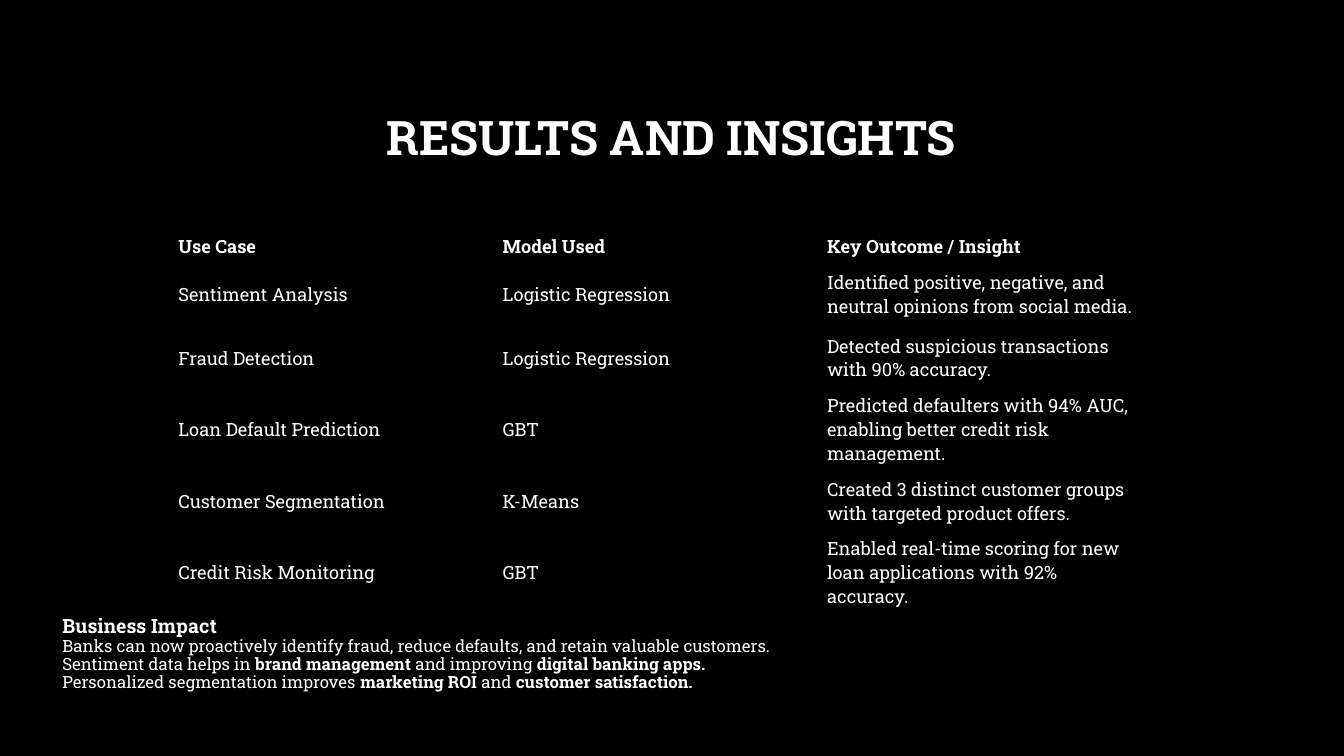
import pptx
import pptx.util
import pptx.dml.color
import pptx.enum.text
import pptx.oxml.ns

HUES = {"back": "000000", "text": "FFFFFF"}
PLAIN = "{2D5ABB26-0587-4C30-8999-92F81FD0307C}"  # table style without grid
ANCHOR = pptx.enum.text.MSO_ANCHOR
ALIGN = pptx.enum.text.PP_ALIGN

CASES = [
    ("Use Case", "Model Used", "Key Outcome / Insight"),
    ("Sentiment Analysis", "Logistic Regression",
     "Identified positive, negative, and neutral opinions from social media."),
    ("Fraud Detection", "Logistic Regression",
     "Detected suspicious transactions with 90% accuracy."),
    ("Loan Default Prediction", "GBT",
     "Predicted defaulters with 94% AUC, enabling better credit risk management."),
    ("Customer Segmentation", "K-Means",
     "Created 3 distinct customer groups with targeted product offers."),
    ("Credit Risk Monitoring", "GBT",
     "Enabled real-time scoring for new loan applications with 92% accuracy."),
]

# Each line is a list of runs: text and bold
IMPACT = [
    [("Banks can now proactively identify fraud, reduce defaults, "
      "and retain valuable customers.", False)],
    [("Sentiment data helps in ", False), ("brand management", True),
     (" and improving ", False), ("digital banking apps.", True)],
    [("Personalized segmentation improves ", False), ("marketing ROI", True),
     (" and ", False), ("customer satisfaction.", True)],
]


class Deck:
    """Holds the style and the current slide; lengths are percent of the slide."""
    font = "Roboto Slab"

    def __init__(self):
        self.show = pptx.Presentation()
        self.show.slide_width = pptx.util.Inches(13.33)
        self.show.slide_height = pptx.util.Inches(7.5)
        self.slide = self.show.slides.add_slide(self.show.slide_layouts[5])
        fill = self.slide.background.fill
        fill.solid()
        fill.fore_color.rgb = self.hue("back")

    def hue(self, name):
        return pptx.dml.color.RGBColor.from_string(HUES[name])

    def wide(self, share):
        return pptx.util.Emu(round(self.show.slide_width * share / 100))

    def high(self, share):
        return pptx.util.Emu(round(self.show.slide_height * share / 100))

    def area(self, left, top, width, height):
        return self.wide(left), self.high(top), self.wide(width), self.high(height)

    def words(self, para, runs, size, align=None, space=None):
        para.alignment = align
        para.line_spacing = space
        for text, bold in runs:
            run = para.add_run()
            run.text = text
            run.font.name = self.font
            run.font.size = pptx.util.Pt(size)
            run.font.bold = bold
            run.font.color.rgb = self.hue("text")

    def title(self, text, *area):
        shape = self.slide.shapes.title
        shape.left, shape.top, shape.width, shape.height = self.area(*area)
        frame = shape.text_frame
        frame.vertical_anchor = ANCHOR.MIDDLE
        self.words(frame.paragraphs[0], [(text, True)], 34, ALIGN.CENTER, 0.9)

    def table(self, rows, head, *area):
        shape = self.slide.shapes.add_table(len(rows), len(rows[0]), *self.area(*area))
        table = shape.table
        table.first_row = table.horz_banding = False
        style = table._tbl.tblPr.find(pptx.oxml.ns.qn("a:tableStyleId"))
        style.text = PLAIN
        rest = (area[3] - head) / (len(rows) - 1)
        for i, row in enumerate(rows):
            table.rows[i].height = self.high(rest if i else head)
            for j, text in enumerate(row):
                cell = table.cell(i, j)
                cell.fill.background()
                cell.vertical_anchor = ANCHOR.MIDDLE
                cell.margin_left = cell.margin_right = pptx.util.Inches(0.07)
                cell.margin_top = cell.margin_bottom = pptx.util.Inches(0.04)
                self.words(cell.text_frame.paragraphs[0], [(text, i == 0)], 13)

    def notes(self, head, lines, *area):
        frame = self.slide.shapes.add_textbox(*self.area(*area)).text_frame
        frame.word_wrap = True
        self.words(frame.paragraphs[0], [(head, True)], 14, space=0.9)
        for runs in lines:
            self.words(frame.add_paragraph(), runs, 12, ALIGN.JUSTIFY, 0.9)


def main():
    deck = Deck()
    # Heading
    deck.title("RESULTS AND INSIGHTS", 7.5, 8.93, 84.9, 19.33)
    # Use cases
    deck.table(CASES, 3.33, 12.75, 30.53, 72.4, 45.33)
    # Closing text
    deck.notes("Business Impact", IMPACT, 3.9, 80.93, 88.5, 16.67)
    deck.show.save("out.pptx")


if __name__ == "__main__":
    main()
